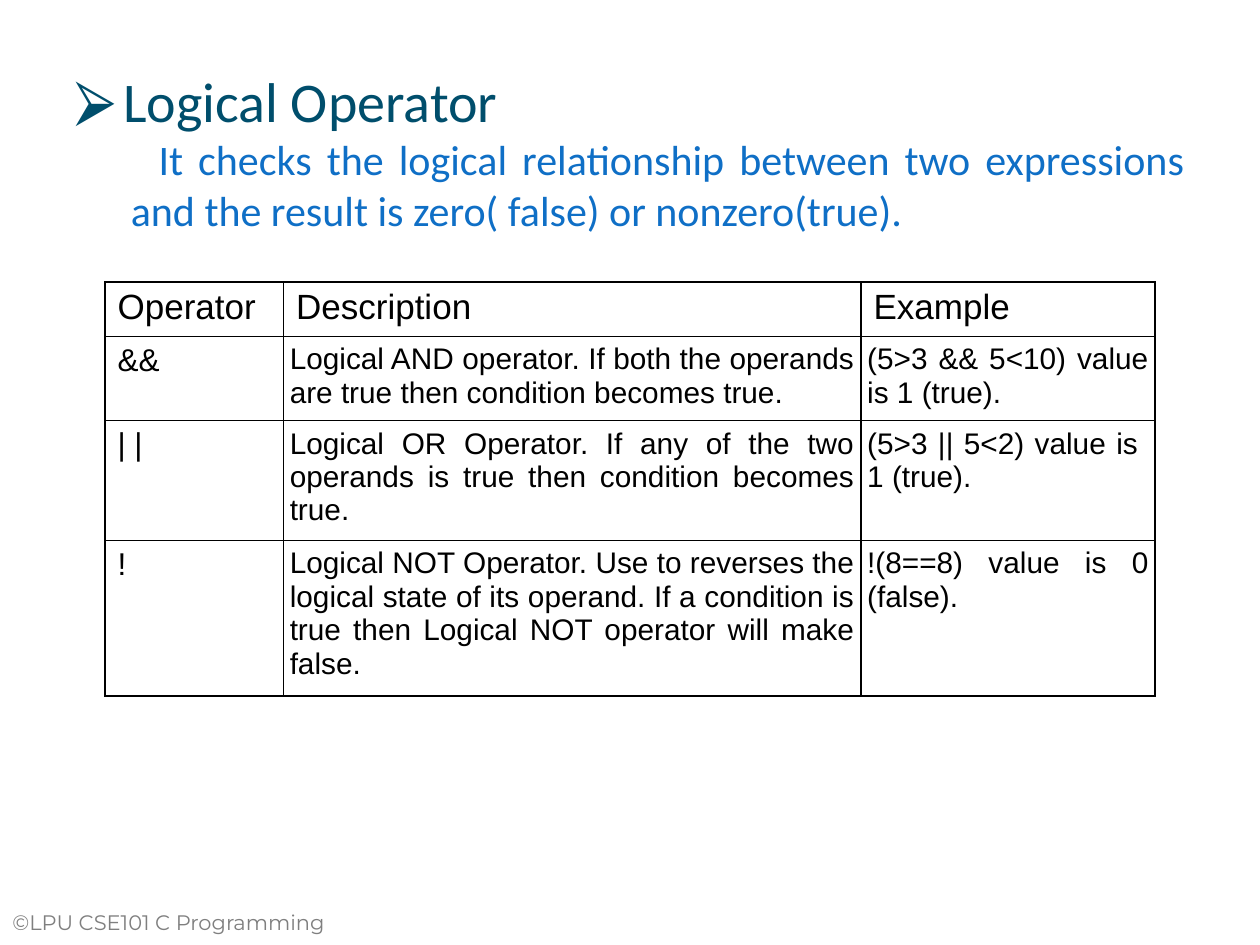
from lxml import etree
from pptx import Presentation, util as u
from pptx.dml.color import RGBColor
from pptx.enum import text
from pptx.oxml import ns

WIDTH, HEIGHT = u.Inches(10), u.Inches(7.5)
COLUMN_SHARES = (0.17, 0.55, 0.28)
ROW_SHARES = (0.13, 0.2, 0.29, 0.38)
HEADINGS = ("Operator", "Description", "Example")
OPERATORS = (
    ("&&",
     "Logical AND operator. If both the operands are true then condition becomes true.",
     "(5>3 && 5<10) value is 1 (true)."),
    ("| | ",
     "Logical OR Operator. If any of the two operands is true then condition becomes true.",
     "(5>3 || 5<2) value is  1 (true)."),
    ("!",
     "Logical NOT Operator. Use to reverses the logical state of its operand. "
     "If a condition is true then Logical NOT operator will make false.",
     "!(8==8) value is 0 (false)."),
)


def color(value):
    return RGBColor.from_string(value)


def share(left, top, width, height):
    return tuple(int(part) for part in
                 (left * WIDTH, top * HEIGHT, width * WIDTH, height * HEIGHT))


def child(parent, tag, **attributes):
    return etree.SubElement(parent, ns.qn(tag), attributes)


def write(paragraph, words, font, size, ink, align=text.PP_ALIGN.JUSTIFY):
    paragraph.alignment = align
    run = paragraph.add_run()
    run.text = words
    run.font.name = font
    run.font.size = u.Pt(size)
    run.font.color.rgb = color(ink)


def text_frame(slide, box):
    frame = slide.shapes.add_textbox(*box).text_frame
    frame.word_wrap = True
    return frame


def hang(paragraph, margin, indent):
    properties = paragraph._p.get_or_add_pPr()
    properties.set("marL", str(u.Inches(margin)))
    properties.set("indent", str(u.Inches(indent)))
    return properties


def add_definition(slide, box):
    frame = text_frame(slide, box)
    heading = frame.paragraphs[0]
    properties = hang(heading, 0.38, -0.38)
    child(child(properties, "a:buClr"), "a:srgbClr", val="004E6C")
    child(properties, "a:buFont", typeface="Arial")
    child(properties, "a:buChar", char="⮚")
    write(heading, "Logical Operator", "Calibri", 32, "004E6C")

    meaning = frame.add_paragraph()
    meaning.level = 1
    child(hang(meaning, 0.44, 0.22), "a:buNone")
    write(meaning, "It checks the logical relationship between two expressions "
          "and the result is zero( false) or nonzero(true).", "Calibri", 24, "0F6FC6")


def add_borders(cell):
    properties = cell._tc.get_or_add_tcPr()
    for position, side in enumerate(("a:lnL", "a:lnR", "a:lnT", "a:lnB")):
        line = etree.Element(ns.qn(side), w=str(u.Pt(1)))
        child(child(line, "a:solidFill"), "a:srgbClr", val="000000")
        properties.insert(position, line)


def add_operators(slide, box):
    rows = (HEADINGS,) + OPERATORS
    table = slide.shapes.add_table(len(rows), len(HEADINGS), *box).table
    table.first_row = table.horz_banding = False
    for column, portion in zip(table.columns, COLUMN_SHARES):
        column.width = int(box[2] * portion)
    for row, portion in zip(table.rows, ROW_SHARES):
        row.height = int(box[3] * portion)
    for r, words in enumerate(rows):
        for c, entry in enumerate(words):
            cell = table.cell(r, c)
            roomy = r == 0 or c == 0
            cell.margin_left = cell.margin_right = u.Inches(0.1 if roomy else 0.05)
            cell.margin_top = cell.margin_bottom = u.Inches(0.05)
            cell.fill.background()
            add_borders(cell)
            size = 20 if r == 0 else 18 if c == 0 else 17
            write(cell.text_frame.paragraphs[0], entry, "Arial", size, "000000")


def add_footer(slide, box):
    write(text_frame(slide, box).paragraphs[0], "©LPU CSE101 C Programming",
          "Montserrat", 12, "7F7F7F", text.PP_ALIGN.LEFT)


def main():
    deck = Presentation()
    deck.slide_width, deck.slide_height = WIDTH, HEIGHT
    slide = deck.slides.add_slide(deck.slide_layouts[6])
    add_footer(slide, share(0, 0.956, 0.3, 0.056))
    add_definition(slide, share(0.05, 0.064, 0.9, 0.892))
    add_operators(slide, share(0.0833, 0.2983, 0.8333, 0.413))
    deck.save("out.pptx")


if __name__ == "__main__":
    main()
